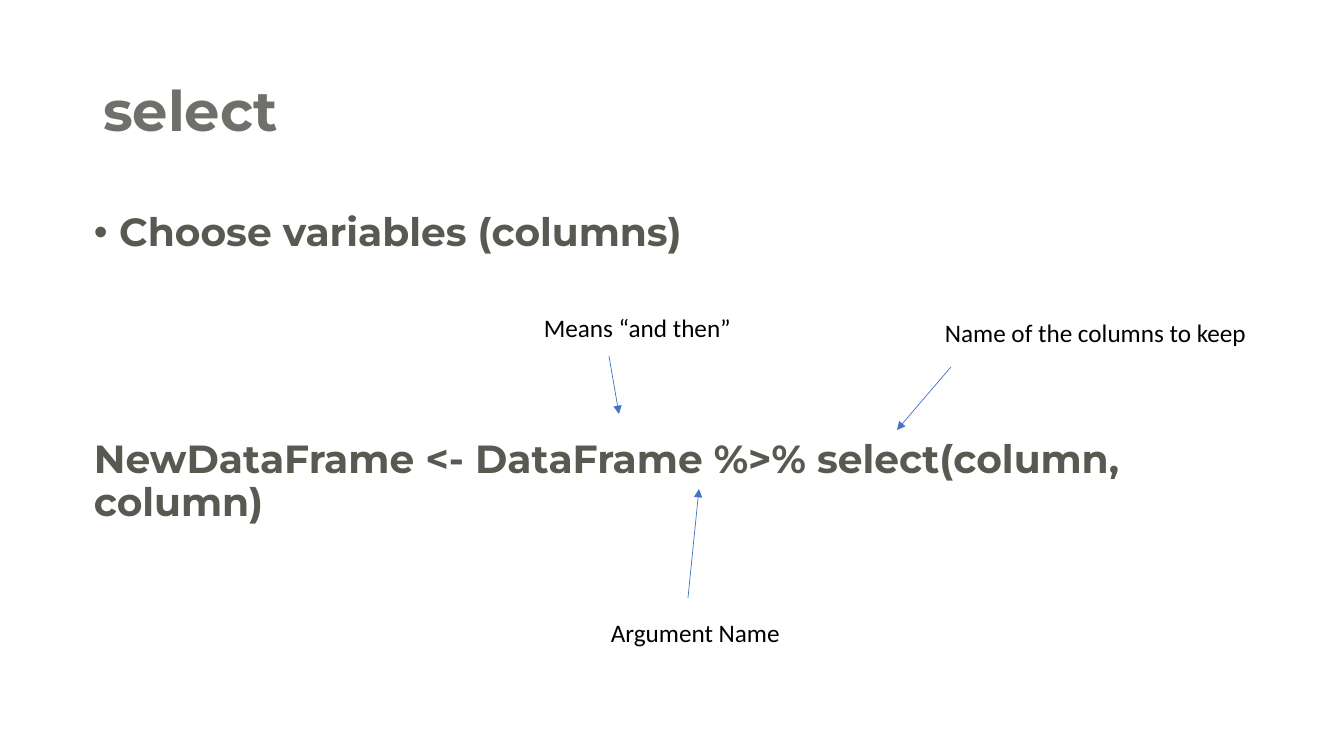
from typing import NamedTuple

import pptx
import pptx.dml.color
import pptx.enum.shapes
import pptx.enum.text
import pptx.oxml
import pptx.oxml.ns
import pptx.util

RGBColor = pptx.dml.color.RGBColor
TITLE_GREY = RGBColor(0x6E, 0x70, 0x6A)
BODY_GREY = RGBColor(0x58, 0x59, 0x51)
BLACK = RGBColor(0x00, 0x00, 0x00)
ARROW_BLUE = RGBColor(0x44, 0x72, 0xC4)
EMU_PER_PX = 914400 / 100.8
LABEL_HEIGHT = 40


class Callout(NamedTuple):
    text: str
    left: int
    top: int
    width: int
    start: tuple[int, int]
    end: tuple[int, int]


CALLOUTS = [
    Callout("Means “and then”", 534, 307, 307, (609, 356), (619, 414)),
    Callout("Name of the columns to keep", 935, 312, 357, (951, 367), (897, 430)),
    Callout("Argument Name", 601, 612, 307, (688, 598), (699, 489)),
]


def px(n: int) -> pptx.util.Emu:
    return pptx.util.Emu(round(n * EMU_PER_PX))


def write(p, text: str, *, size: int, color: RGBColor, font: str = "Montserrat",
          bold: bool = True, line_spacing: float = 0.9, space_before: int = 0) -> None:
    p.alignment = pptx.enum.text.PP_ALIGN.LEFT
    p.line_spacing = line_spacing
    p.space_before = pptx.util.Pt(space_before)
    r = p.add_run()
    r.text = text
    r.font.name = font
    r.font.size = pptx.util.Pt(size)
    r.font.bold = bold
    r.font.color.rgb = color


def add_bullet(p) -> None:
    pPr = p._p.get_or_add_pPr()
    pPr.set("marL", "228600")
    pPr.set("indent", "-228600")
    ns = pptx.oxml.ns.nsdecls("a")
    pPr.append(pptx.oxml.parse_xml(f'<a:buFont {ns} typeface="Arial"/>'))
    pPr.append(pptx.oxml.parse_xml(f'<a:buChar {ns} char="•"/>'))


def add_text_box(slide, left: int, top: int, width: int, height: int):
    tf = slide.shapes.add_textbox(px(left), px(top), px(width), px(height)).text_frame
    tf.word_wrap = True
    return tf


def add_arrow(slide, start: tuple[int, int], end: tuple[int, int]) -> None:
    sp = slide.shapes.add_connector(
        pptx.enum.shapes.MSO_CONNECTOR.STRAIGHT, *map(px, start + end))
    sp.line.color.rgb = ARROW_BLUE
    sp.line.width = pptx.util.Pt(0.5)
    ns = pptx.oxml.ns.nsdecls("a")
    sp.line._get_or_add_ln().append(
        pptx.oxml.parse_xml(f'<a:tailEnd {ns} type="triangle"/>'))
    sp._element.spPr.append(pptx.oxml.parse_xml(f"<a:effectLst {ns}/>"))


def add_callout(slide, callout: Callout) -> None:
    add_arrow(slide, callout.start, callout.end)
    tf = add_text_box(slide, callout.left, callout.top, callout.width, LABEL_HEIGHT)
    tf.auto_size = pptx.enum.text.MSO_AUTO_SIZE.SHAPE_TO_FIT_TEXT
    write(tf.paragraphs[0], callout.text, size=18, color=BLACK,
          font="Calibri", bold=False, line_spacing=1.0)


prs = pptx.Presentation()
prs.slide_width, prs.slide_height = px(1344), px(756)
slide = prs.slides.add_slide(prs.slide_layouts[5])

title = slide.shapes.title
title.left, title.top, title.width, title.height = map(px, (93, 40, 1159, 146))
title.text_frame.auto_size = pptx.enum.text.MSO_AUTO_SIZE.NONE
title.text_frame.vertical_anchor = pptx.enum.text.MSO_ANCHOR.MIDDLE
write(title.text_frame.paragraphs[0], "select", size=40, color=TITLE_GREY)

tf = add_text_box(slide, 84, 208, 1159, 284)
purpose = tf.paragraphs[0]
write(purpose, "Choose variables (columns)", size=28, color=BODY_GREY)
add_bullet(purpose)
write(tf.add_paragraph(), "NewDataFrame <- DataFrame %>% select(column, column)",
      size=28, color=BODY_GREY, space_before=132)

for callout in CALLOUTS:
    add_callout(slide, callout)

prs.save("out.pptx")
